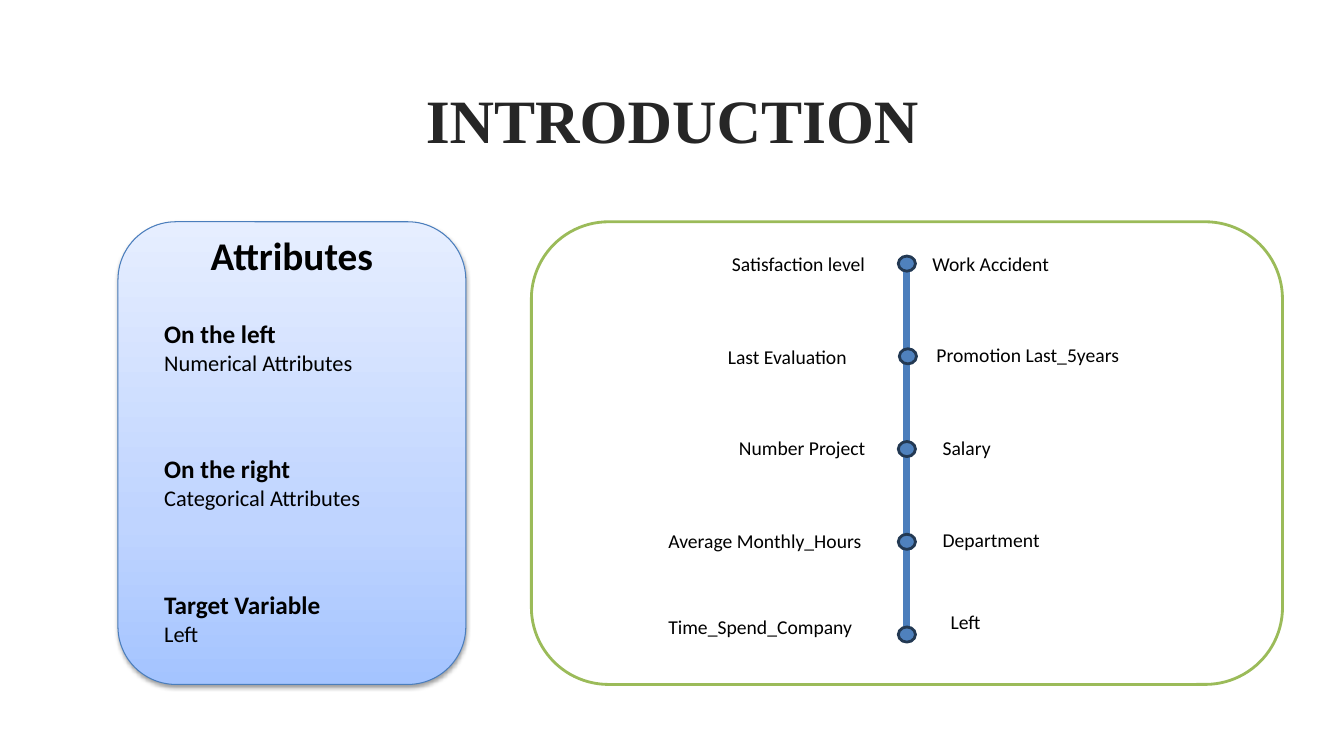
import copy

import pptx
import pptx.util
import pptx.oxml
import pptx.oxml.ns
import pptx.dml.color
import pptx.enum.shapes
import pptx.enum.text

Inches = pptx.util.Inches
Pt = pptx.util.Pt
RGB = pptx.dml.color.RGBColor
SHAPE = pptx.enum.shapes.MSO_SHAPE
ALIGN = pptx.enum.text.PP_ALIGN
qn = pptx.oxml.ns.qn

BLACK = RGB(0x00, 0x00, 0x00)
WHITE = RGB(0xFF, 0xFF, 0xFF)
TITLE_GREY = RGB(0x26, 0x26, 0x26)
BLUE = RGB(0x4F, 0x81, 0xBD)
LINE_BLUE = RGB(0x4B, 0x7E, 0xBC)
NAVY = RGB(0x23, 0x39, 0x53)
GREEN = RGB(0x9B, 0xBB, 0x59)
PANEL_STOPS = [
    (0, RGB(0xA4, 0xC4, 0xFF)),
    (0.35, RGB(0xBF, 0xD4, 0xFF)),
    (1, RGB(0xE6, 0xEE, 0xFF)),
]

# Heading, detail, top of each legend entry
LEGEND = [
    ("On the left", "Numerical Attributes", 3.11),
    ("On the right", "Categorical Attributes", 4.45),
    ("Target Variable", "Left", 5.8),
]
# Text, left, top, width of each timeline label
LABELS = [
    ("Satisfaction level", 7.16, 2.45, 1.79),
    ("Last Evaluation", 7.12, 3.37, 2.13),
    ("Number Project", 7.23, 4.28, 1.78),
    ("Average Monthly_Hours", 6.53, 5.2, 2.47),
    ("Time_Spend_Company", 6.53, 6.05, 2.4),
    ("Work Accident", 9.15, 2.45, 1.79),
    ("Promotion Last_5years", 9.19, 3.35, 2.3),
    ("Salary", 9.25, 4.28, 1.78),
    ("Department", 9.25, 5.19, 2.47),
    ("Left", 9.33, 6, 2.4),
]
DOT_LEFTS = [8.91, 8.92, 8.91, 8.91, 8.91]
DOT_TOP, DOT_STEP = 2.54, 0.92


def add_text(s, box, lines, align=ALIGN.LEFT, font="Calibri", color=BLACK):
    """Add a text box; each line is (text, size, bold)."""
    tb = s.shapes.add_textbox(*map(Inches, box))
    tf = tb.text_frame
    tf.word_wrap = True
    for i, (text, size, bold) in enumerate(lines):
        p = tf.paragraphs[0] if i == 0 else tf.add_paragraph()
        p.alignment = align
        r = p.add_run()
        r.text = text
        r.font.name = font
        r.font.size = Pt(size)
        r.font.bold = bold
        r.font.color.rgb = color
    return tf


def add_outlined(s, kind, box, fill, line, width):
    sp = s.shapes.add_shape(kind, *map(Inches, box))
    sp.shadow.inherit = False
    sp.fill.solid()
    sp.fill.fore_color.rgb = fill
    sp.line.color.rgb = line
    sp.line.width = Pt(width)
    return sp


def add_gradient(sp, stops):
    """Fill upwards from the first stop to the last."""
    sp.fill.gradient()
    sp.fill.gradient_angle = 90
    gs_list = sp.element.spPr.find(".//" + qn("a:gsLst"))
    while len(gs_list) < len(stops):
        gs_list.append(copy.deepcopy(gs_list[0]))
    for stop, (position, color) in zip(sp.fill.gradient_stops, stops):
        stop.position = position
        stop.color.rgb = color


def add_shadow(sp):
    effects = sp.element.spPr.find(qn("a:effectLst"))
    shadow = pptx.oxml.parse_xml(
        f'<a:outerShdw {pptx.oxml.ns.nsdecls("a")} blurRad="{Pt(3.1)}" '
        f'dist="{Pt(1.6)}" dir="5400000" rotWithShape="0">'
        '<a:srgbClr val="000000"><a:alpha val="38000"/></a:srgbClr>'
        '</a:outerShdw>')
    effects.append(shadow)


def add_line(s, x1, y1, x2, y2, color, width):
    line = s.shapes.add_connector(
        pptx.enum.shapes.MSO_CONNECTOR.STRAIGHT,
        *map(Inches, (x1, y1, x2, y2)))
    line.line.color.rgb = color
    line.line.width = Pt(width)
    line.element.spPr.append(pptx.oxml.parse_xml(
        f'<a:effectLst {pptx.oxml.ns.nsdecls("a")}/>'))


def main():
    prs = pptx.Presentation()
    prs.slide_width, prs.slide_height = Inches(13.33), Inches(7.5)
    s = prs.slides.add_slide(prs.slide_layouts[6])

    # Title
    tf = add_text(s, (1.17, 0.7, 11, 1.06), [("INTRODUCTION", 44, True)],
                  ALIGN.CENTER, "Times New Roman", TITLE_GREY)
    tf.vertical_anchor = pptx.enum.text.MSO_ANCHOR.MIDDLE
    tf.paragraphs[0].line_spacing = 0.9

    # Attributes panel
    panel = add_outlined(s, SHAPE.ROUNDED_RECTANGLE, (1.17, 2.2, 3.45, 4.59),
                         WHITE, LINE_BLUE, 0.75)
    add_gradient(panel, PANEL_STOPS)
    add_shadow(panel)
    add_text(s, (1.53, 2.25, 2.73, 0.57), [("Attributes", 28, True)],
             ALIGN.CENTER)
    for heading, detail, top in LEGEND:
        add_text(s, (1.53, top, 2.81, 0.67),
                 [(heading, 18, True), (detail, 16, False)])

    # Timeline frame, axis and dots
    add_outlined(s, SHAPE.ROUNDED_RECTANGLE, (5.27, 2.2, 7.45, 4.59),
                 WHITE, GREEN, 2)
    add_line(s, 8.99, 2.54, 8.99, 6.37, LINE_BLUE, 4.5)
    for i, left in enumerate(DOT_LEFTS):
        add_outlined(s, SHAPE.OVAL,
                     (left, DOT_TOP + i * DOT_STEP, 0.17, 0.15),
                     BLUE, NAVY, 2)

    # Timeline labels
    for text, left, top, width in LABELS:
        add_text(s, (left, top, width, 0.34), [(text, 14, False)])

    prs.save("out.pptx")


if __name__ == "__main__":
    main()
